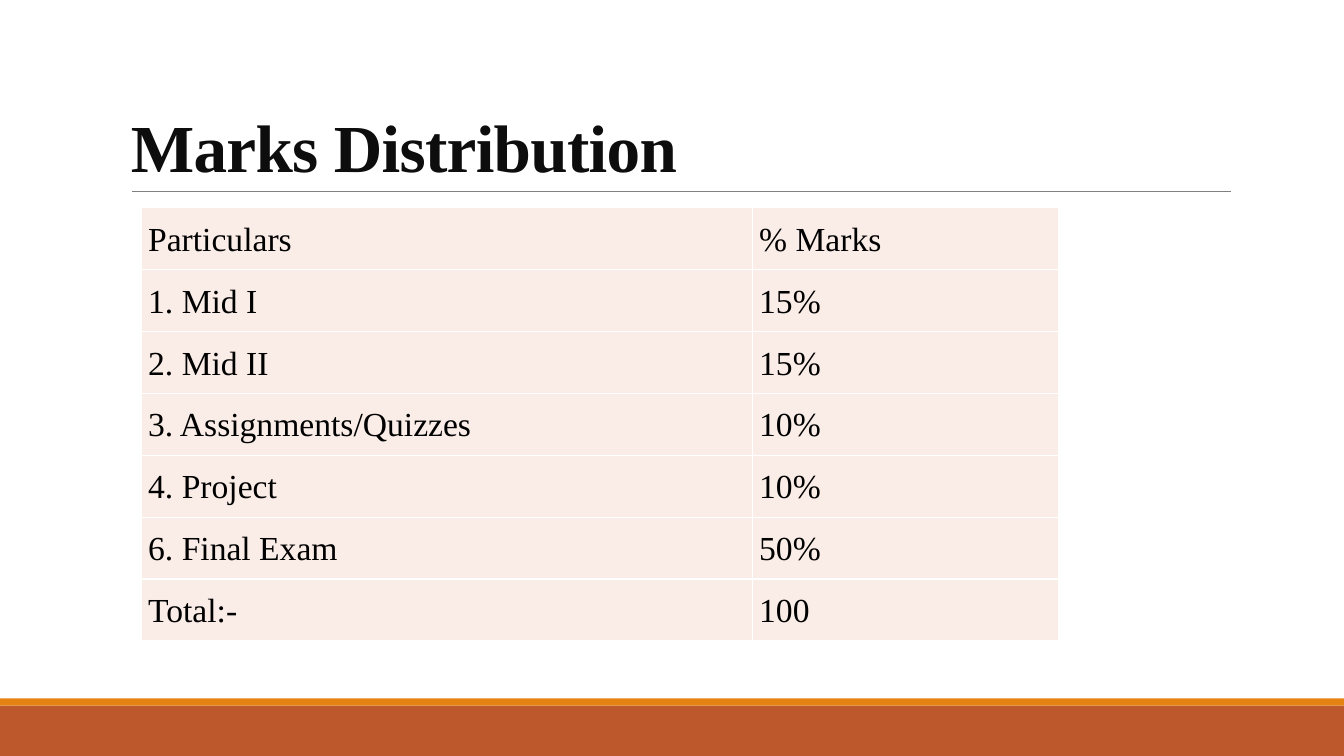
from dataclasses import dataclass

from lxml import etree
from pptx import Presentation
from pptx import util as u
from pptx.dml.color import RGBColor
from pptx.enum import shapes, text
from pptx.oxml import ns


@dataclass(frozen=True)
class Theme:
    font: str = "Times New Roman"
    title_size: int = 48
    table_size: int = 24
    title: str = "0D0D0D"
    body: str = "000000"
    rule: str = "808080"
    footer: str = "BD582C"
    stripe: str = "E48312"
    cell: str = "FAEDE7"
    border: str = "FFFFFF"


class SlideBuilder:
    def __init__(self, slide, theme):
        self.slide = slide
        self.theme = theme

    def format_paragraph(self, paragraph, size, color, spacing, bold=False):
        paragraph.line_spacing = spacing
        for run in paragraph.runs:
            run.font.name = self.theme.font
            run.font.size = u.Pt(size)
            run.font.bold = bold
            run.font.color.rgb = RGBColor.from_string(color)

    def band(self, top, height, color):
        shape = self.slide.shapes.add_shape(
            shapes.MSO_SHAPE.RECTANGLE, 0, u.Inches(top), u.Inches(13.33), u.Inches(height))
        shape.shadow.inherit = False
        shape.fill.solid()
        shape.fill.fore_color.rgb = RGBColor.from_string(color)
        shape.line.fill.background()

    def rule(self, left, right, top):
        connector = self.slide.shapes.add_connector(
            shapes.MSO_CONNECTOR.STRAIGHT,
            u.Inches(left), u.Inches(top), u.Inches(right), u.Inches(top))
        connector.line.color.rgb = RGBColor.from_string(self.theme.rule)
        connector.line.width = u.Pt(0.5)
        etree.SubElement(connector._element.spPr, ns.qn("a:effectLst"))

    def title(self, wording, left, top, width, height):
        shape = self.slide.shapes.add_textbox(
            u.Inches(left), u.Inches(top), u.Inches(width), u.Inches(height))
        frame = shape.text_frame
        frame.word_wrap = True
        frame.vertical_anchor = text.MSO_ANCHOR.BOTTOM
        frame.text = wording
        paragraph = frame.paragraphs[0]
        self.format_paragraph(paragraph, self.theme.title_size, self.theme.title, 0.85, bold=True)
        paragraph.runs[0].font._element.set("spc", "-50")

    def cell_borders(self, cell):
        properties = cell._tc.get_or_add_tcPr()
        for side in ("lnL", "lnR", "lnT", "lnB"):
            line = etree.SubElement(properties, ns.qn(f"a:{side}"), w=str(u.Pt(1)))
            fill = etree.SubElement(line, ns.qn("a:solidFill"))
            etree.SubElement(fill, ns.qn("a:srgbClr"), val=self.theme.border)

    def table(self, rows, left, top, widths, height):
        table = self.slide.shapes.add_table(
            len(rows), len(widths), u.Inches(left), u.Inches(top),
            u.Inches(sum(widths)), u.Inches(height)).table
        for column, width in zip(table.columns, widths):
            column.width = u.Inches(width)
        for row, values in zip(table.rows, rows):
            for cell, value in zip(row.cells, values):
                self.cell_borders(cell)
                cell.fill.solid()
                cell.fill.fore_color.rgb = RGBColor.from_string(self.theme.cell)
                cell.margin_left = cell.margin_right = u.Inches(0.07)
                cell.margin_top = cell.margin_bottom = 0
                cell.vertical_anchor = text.MSO_ANCHOR.MIDDLE
                cell.text_frame.text = value
                self.format_paragraph(
                    cell.text_frame.paragraphs[0], self.theme.table_size, self.theme.body, 1.07)


MARKS = [
    ("Particulars", "% Marks"),
    ("1. Mid I", "15%"),
    ("2. Mid II", "15%"),
    ("3. Assignments/Quizzes", "10%"),
    ("4. Project", "10%"),
    ("6. Final Exam", "50%"),
    ("Total:-", "100"),
]


def main():
    presentation = Presentation()
    presentation.slide_width = u.Inches(13.33)
    presentation.slide_height = u.Inches(7.5)
    slide = presentation.slides.add_slide(presentation.slide_layouts[6])
    theme = Theme()
    builder = SlideBuilder(slide, theme)
    builder.band(7, 0.5, theme.footer)
    builder.band(6.93, 0.07, theme.stripe)
    builder.rule(1.31, 12.21, 1.9)
    builder.title("Marks Distribution", 1.2, 0.31, 11, 1.59)
    builder.table(MARKS, 1.4, 2.06, (6.06, 3.04), 4.3)
    presentation.save("out.pptx")


if __name__ == "__main__":
    main()
